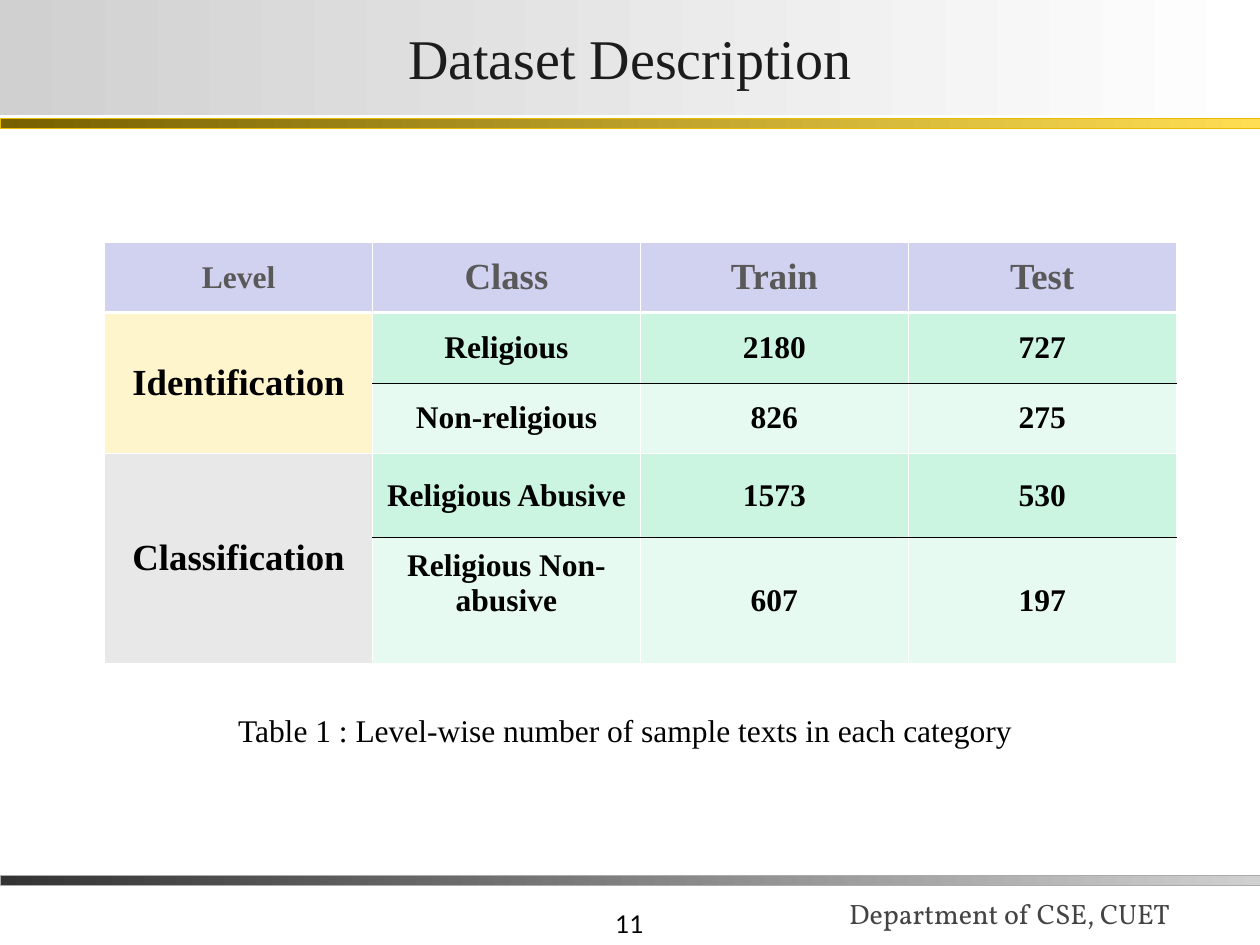
"""Build the dataset description slide with its class table."""
from dataclasses import dataclass

from lxml import etree
from pptx import Presentation
from pptx.dml.color import RGBColor
from pptx.enum import shapes, text
from pptx.oxml.ns import qn
from pptx.util import Cm, Pt


@dataclass(frozen=True)
class Theme:
    serif: str = "Times New Roman"
    number_font: str = "Lato"
    footer_font: str = "Vollkorn"
    title_size: int = 32
    label_size: int = 21
    body_size: int = 18
    footer_size: int = 16
    number_size: int = 14
    black: str = "000000"
    white: str = "FFFFFF"
    title: str = "1C1C1C"
    heading: str = "595959"
    footer: str = "444444"
    header_fill: str = "D1D1F0"
    strong_row: str = "CBF5E1"
    pale_row: str = "E7FAF1"
    identification: str = "FFF5CC"
    classification: str = "E8E8E8"
    thin: float = 0.45
    thick: float = 1.47


THEME = Theme()


@dataclass(frozen=True)
class Frame:
    left: float
    top: float
    width: float
    height: float

    def lengths(self) -> tuple:
        return tuple(Cm(value) for value in (self.left, self.top, self.width, self.height))


@dataclass(frozen=True)
class Style:
    size: int
    color: str = THEME.black
    font: str = THEME.serif
    bold: bool = False
    align: text.PP_ALIGN = text.PP_ALIGN.LEFT


@dataclass(frozen=True)
class Bar:
    frame: Frame
    start: str
    end: str
    line: str


@dataclass(frozen=True)
class Label:
    frame: Frame
    words: str
    style: Style
    anchor: text.MSO_ANCHOR


@dataclass(frozen=True)
class Level:
    name: str
    fill: str
    classes: tuple


BARS = (
    Bar(Frame(0, 17.65, 25.4, 0.2), "333333", "D0D0D0", "ABABAB"),
    Bar(Frame(0, 2.39, 25.4, 0.2), "766000", "FFDE53", "E8BC00"),
)
LABELS = (
    Label(Frame(7.95, 17.78, 5.28, 1.27), "11",
          Style(THEME.number_size, font=THEME.number_font, align=text.PP_ALIGN.RIGHT),
          text.MSO_ANCHOR.BOTTOM),
    Label(Frame(16.87, 17.27, 8.74, 1.6), "Department of CSE, CUET",
          Style(THEME.footer_size, THEME.footer, THEME.footer_font), text.MSO_ANCHOR.BOTTOM),
    Label(Frame(4.55, 14.2, 16.71, 1.02),
          "Table 1 : Level-wise number of sample texts in each category",
          Style(THEME.body_size), text.MSO_ANCHOR.TOP),
)
HEADERS = ("Level", "Class", "Train", "Test")
LEVELS = (
    Level("Identification", THEME.identification,
          (("Religious", "2180", "727"), ("Non-religious", "826", "275"))),
    Level("Classification", THEME.classification,
          (("Religious Abusive", "1573", "530"), ("Religious Non-abusive", "607", "197"))),
)
ROW_HEIGHTS = (1.42, 1.42, 1.42, 1.7, 2.54)
COLUMN_WIDTH = 5.4


def write(frame, words: str, style: Style) -> None:
    """Put one styled paragraph into a text frame."""
    para = frame.paragraphs[0]
    para.text = words
    para.alignment = style.align
    para.font.size = Pt(style.size)
    para.font.name = style.font
    para.font.bold = style.bold
    para.font.color.rgb = RGBColor.from_string(style.color)


def fill_gradient(shape, start: str, end: str) -> None:
    """Fill a shape from left to right."""
    shape.fill.gradient()
    shape.fill.gradient_angle = 0
    for stop, color in zip(shape.fill.gradient_stops, (start, end)):
        stop.color.rgb = RGBColor.from_string(color)


def draw_bar(page, bar: Bar) -> None:
    """Draw a thin gradient rule across the page."""
    shape = page.shapes.add_shape(shapes.MSO_SHAPE.RECTANGLE, *bar.frame.lengths())
    shape.shadow.inherit = False
    fill_gradient(shape, bar.start, bar.end)
    shape.line.color.rgb = RGBColor.from_string(bar.line)
    shape.line.width = Pt(0.25)


def draw_label(page, label: Label) -> None:
    """Draw a free line of text."""
    frame = page.shapes.add_textbox(*label.frame.lengths()).text_frame
    frame.word_wrap = True
    frame.vertical_anchor = label.anchor
    write(frame, label.words, label.style)


def draw_title(page, words: str) -> None:
    """Place and format the title placeholder."""
    title = page.shapes.title
    title.left, title.top, title.width, title.height = Frame(0, 0, 25.4, 2.31).lengths()
    fill_gradient(title, "D0D0D0", THEME.white)
    title.text_frame.vertical_anchor = text.MSO_ANCHOR.MIDDLE
    write(title.text_frame, words,
          Style(THEME.title_size, THEME.title, align=text.PP_ALIGN.CENTER))


def format_cell(cell, fill: str, top: tuple, bottom: tuple) -> None:
    """Set the fill, anchor and four borders of a cell."""
    cell.vertical_anchor = text.MSO_ANCHOR.MIDDLE
    cell.fill.solid()
    cell.fill.fore_color.rgb = RGBColor.from_string(fill)
    side = (THEME.white, THEME.thin)
    borders = (("a:lnL", side), ("a:lnR", side), ("a:lnT", top), ("a:lnB", bottom))
    properties = cell._tc.get_or_add_tcPr()
    for position, (tag, (color, width)) in enumerate(borders):
        line = etree.Element(qn(tag), w=str(Pt(width)))
        solid = etree.SubElement(line, qn("a:solidFill"))
        etree.SubElement(solid, qn("a:srgbClr"), val=color)
        properties.insert(position, line)


def draw_table(page) -> None:
    """Draw the table of levels, classes and sample counts."""
    frame = Frame(2.11, 4.88, COLUMN_WIDTH * len(HEADERS), sum(ROW_HEIGHTS))
    table = page.shapes.add_table(len(ROW_HEIGHTS), len(HEADERS), *frame.lengths()).table
    table.first_row = table.horz_banding = False
    for column in table.columns:
        column.width = Cm(COLUMN_WIDTH)
    for row, height in zip(table.rows, ROW_HEIGHTS):
        row.height = Cm(height)

    center = text.PP_ALIGN.CENTER
    white = (THEME.white, THEME.thin)
    black = (THEME.black, THEME.thin)
    divider = (THEME.white, THEME.thick)
    body = Style(THEME.body_size, bold=True, align=center)
    for index, words in enumerate(HEADERS):
        cell = table.cell(0, index)
        size = THEME.label_size if index else THEME.body_size
        write(cell.text_frame, words, Style(size, THEME.heading, bold=True, align=center))
        format_cell(cell, THEME.header_fill, white, divider)

    for group, level in enumerate(LEVELS):
        first = 1 + 2 * group
        above = white if group else divider
        edges = ((above, black, THEME.strong_row), (black, white, THEME.pale_row))
        for offset, (values, (top, bottom, fill)) in enumerate(zip(level.classes, edges)):
            for column, words in enumerate(values, start=1):
                cell = table.cell(first + offset, column)
                write(cell.text_frame, words, body)
                format_cell(cell, fill, top, bottom)
            format_cell(table.cell(first + offset, 0), level.fill,
                        white if offset else above, white)
        origin = table.cell(first, 0)
        origin.merge(table.cell(first + 1, 0))
        write(origin.text_frame, level.name, Style(THEME.label_size, bold=True, align=center))
    table.cell(len(ROW_HEIGHTS) - 1, 1).margin_bottom = Cm(0.84)


def main() -> None:
    """Assemble the slide and save it."""
    deck = Presentation()
    deck.slide_width, deck.slide_height = Cm(25.4), Cm(19.05)
    page = deck.slides.add_slide(deck.slide_layouts[5])
    draw_title(page, "Dataset Description")
    for bar in BARS:
        draw_bar(page, bar)
    draw_table(page)
    for label in LABELS:
        draw_label(page, label)
    deck.save("out.pptx")


if __name__ == "__main__":
    main()
